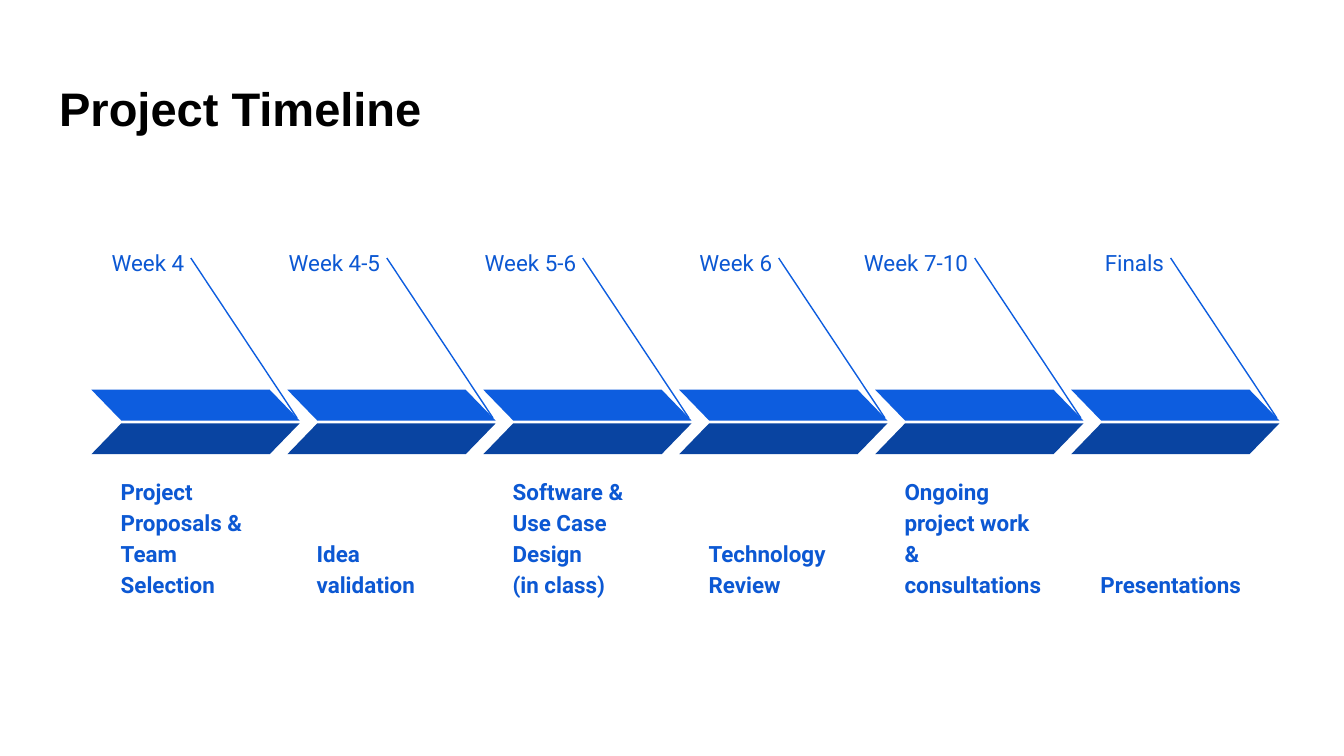
from lxml.etree import SubElement
from pptx import Presentation
from pptx.dml.color import RGBColor
from pptx.enum.shapes import MSO_CONNECTOR, MSO_SHAPE
from pptx.enum.text import MSO_ANCHOR, MSO_AUTO_SIZE, PP_ALIGN
from pptx.oxml.ns import qn
from pptx.util import Inches, Pt

BLACK = RGBColor(0x00, 0x00, 0x00)
BRIGHT_BLUE = RGBColor(0x0D, 0x5D, 0xDF)
DARK_BLUE = RGBColor(0x09, 0x44, 0xA1)
TEXT_BLUE = RGBColor(0x0C, 0x58, 0xD3)

MILESTONES = [
    ("Week 4", 0.79, "Project Proposals & Team Selection"),
    ("Week 4-5", 0.96, "Idea validation"),
    ("Week 5-6", 0.89, "Software &\nUse Case Design\n(in class)"),
    ("Week 6", 0.79, "Technology Review"),
    ("Week 7-10", 1.06, "Ongoing project work & consultations"),
    ("Finals", 0.79, "Presentations"),
]
FIRST_LEFT, LAST_LEFT = 0.68, 7.97
STEP = (LAST_LEFT - FIRST_LEFT) / (len(MILESTONES) - 1)


def write_text(holder, text, *, size=12, font="Roboto", color=TEXT_BLUE, bold=False,
               align=PP_ALIGN.LEFT, anchor=MSO_ANCHOR.TOP, spacing=1.15, after=0):
    """Fill a shape with formatted paragraphs, one for each line of text."""
    frame = holder.text_frame
    frame.word_wrap = True
    frame.auto_size = MSO_AUTO_SIZE.NONE
    frame.vertical_anchor = anchor
    frame.margin_left = frame.margin_right = Inches(0.1)
    frame.margin_top = frame.margin_bottom = Inches(0.1)
    frame.text = text
    for paragraph in frame.paragraphs:
        paragraph.alignment = align
        paragraph.line_spacing = spacing
        paragraph.space_before = Pt(0)
        paragraph.space_after = Pt(after)
        for run in paragraph.runs:
            run.font.size = Pt(size)
            run.font.name = font
            run.font.bold = bold
            run.font.color.rgb = color


def add_title(slide, text):
    """Place and format the slide title."""
    title = slide.shapes.title
    title.left, title.top = Inches(0.34), Inches(0.49)
    title.width, title.height = Inches(9.32), Inches(0.63)
    write_text(title, text, size=25.2, font="Arial", color=BLACK, bold=True, spacing=1)


def add_label(shapes, text, left, top, width, height, **style):
    """Add a text box with the given text format."""
    label = shapes.add_textbox(Inches(left), Inches(top), Inches(width), Inches(height))
    write_text(label, text, **style)


def add_pointer(shapes, left):
    """Add the slanted line from the week label to the arrow tip."""
    pointer = shapes.add_connector(MSO_CONNECTOR.STRAIGHT, Inches(left + 0.74), Inches(1.92),
                                   Inches(left + 1.53), Inches(3.11))
    pointer.line.color.rgb = BRIGHT_BLUE
    pointer.line.width = Pt(0.75)
    SubElement(pointer._element.spPr, qn("a:effectLst"))


def add_chevron_half(shapes, left, top, color, flipped=False):
    """Add one slanted half of a chevron."""
    half = shapes.add_shape(MSO_SHAPE.PARALLELOGRAM, Inches(left), Inches(top),
                            Inches(1.55), Inches(0.23))
    half.adjustments[0] = 0.97
    half.shadow.inherit = False
    half.fill.solid()
    half.fill.fore_color.rgb = color
    half.line.fill.background()
    if flipped:
        half._element.spPr.find(qn("a:xfrm")).set("flipH", "1")


def add_milestone(slide, left, week, week_width, task):
    """Add a grouped timeline step with its week and task."""
    shapes = slide.shapes.add_group_shape().shapes
    add_pointer(shapes, left)
    add_chevron_half(shapes, left, 2.9, BRIGHT_BLUE, flipped=True)
    add_chevron_half(shapes, left, 3.15, DARK_BLUE)
    add_label(shapes, task, left + 0.12, 3.54, 1.27, 1.01, bold=True, anchor=MSO_ANCHOR.BOTTOM)
    add_label(shapes, week, left + 0.79 - week_width, 1.72, week_width, 0.39,
              align=PP_ALIGN.RIGHT, after=16)


def main():
    """Build and save the project timeline slide."""
    presentation = Presentation()
    presentation.slide_width = Inches(10)
    presentation.slide_height = Inches(10 * 9 / 16)
    slide = presentation.slides.add_slide(presentation.slide_layouts[5])
    add_title(slide, "Project Timeline")
    for index, (week, week_width, task) in enumerate(MILESTONES):
        add_milestone(slide, FIRST_LEFT + index * STEP, week, week_width, task)
    presentation.save("out.pptx")


if __name__ == "__main__":
    main()
